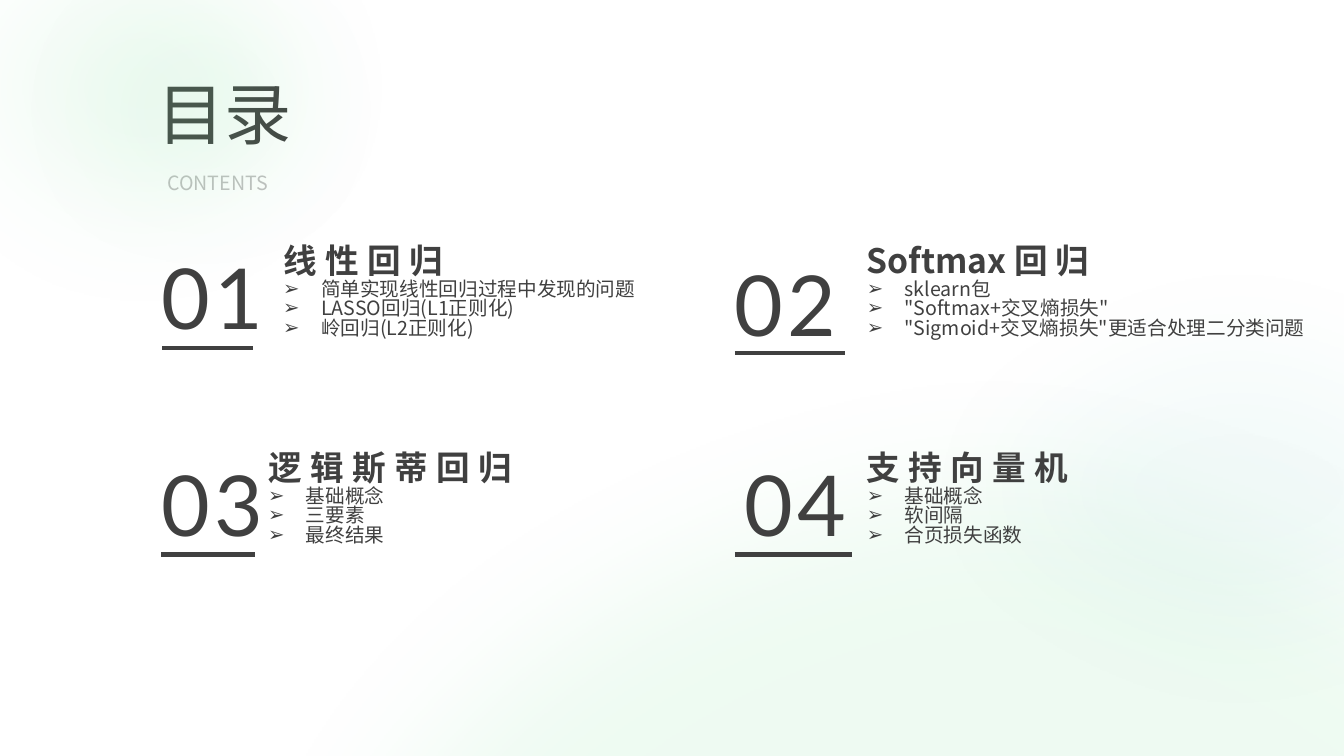
from dataclasses import dataclass

from lxml import etree
from pptx import Presentation
from pptx.dml.color import RGBColor
from pptx.enum import shapes, text
from pptx.oxml import ns
from pptx.util import Pt

DARK = RGBColor(0x40, 0x40, 0x40)
GREY = RGBColor(0xC0, 0xC0, 0xC0)
GREEN = RGBColor(0x7B, 0xDF, 0x9B)
TEAL = RGBColor(0x25, 0xAE, 0x9E)
CJK, LATIN = "Noto Sans CJK SC", "Lato"
LIST_INDENT = Pt(27)
LIST_SPACING = 0.83


@dataclass
class Glow:
    left: float
    top: float
    width: float
    height: float
    color: RGBColor
    opacity: int


@dataclass
class Chapter:
    number: str
    number_at: tuple[float, float]
    rule: tuple[float, float, float]  # left, right, y
    list_box: tuple[float, float, float, float]
    heading: str
    topics: list[str]
    spacing: float = 6


GLOWS = [
    Glow(-139, -144, 483, 414, GREEN, 13),
    Glow(143.3, 239.8, 1135.4, 762.5, GREEN, 13),
    Glow(-63.4, -90, 414, 337, GREEN, 13),
    Glow(575.3, 141.1, 619.2, 415.4, TEAL, 6),
]

CHAPTERS = [
    Chapter("01", (115.2, 175.7), (115.9, 180.7, 248.4), (202.3, 176.5, 258.5, 81.4),
            "线性回归", ["简单实现线性回归过程中发现的问题", "LASSO回归(L1正则化)", "岭回归(L2正则化)"]),
    Chapter("02", (524.9, 180), (524.9, 603.4, 252), (619.2, 176.5, 335.5, 87.8),
            "Softmax 回 归",
            ["sklearn包", '"Softmax+交叉熵损失"', '"Sigmoid+交叉熵损失"更适合处理二分类问题'], 0),
    Chapter("03", (115.2, 323.3), (115.2, 182.2, 396), (191.5, 324.3, 192.2, 81.4),
            "逻辑斯蒂回归", ["基础概念", "三要素", "最终结果"]),
    Chapter("04", (532.1, 323.3), (524.9, 608.4, 396), (619.2, 324.3, 217.4, 87.8),
            "支持向量机", ["基础概念", "软间隔", "合页损失函数"]),
]


def write(paragraph, wording: str, *, size: float, font: str = CJK, color: RGBColor = DARK,
          bold: bool = False, tracking: float = 0, outlined: bool = False,
          align=text.PP_ALIGN.LEFT, line_spacing: float = 1.0) -> None:
    paragraph.alignment = align
    paragraph.line_spacing = line_spacing
    paragraph.space_before = Pt(0)
    run = paragraph.add_run()
    run.text = wording
    run.font.size, run.font.bold, run.font.name = Pt(size), bold, font
    run.font.color.rgb = color
    properties = run.font._element
    properties.set("spc", str(round(tracking * 100)))
    etree.SubElement(properties, ns.qn("a:ea")).set("typeface", font)
    if outlined:
        outline = etree.Element(ns.qn("a:ln"), w=str(Pt(0.75)))
        fill = etree.SubElement(outline, ns.qn("a:solidFill"))
        etree.SubElement(fill, ns.qn("a:srgbClr")).set("val", str(color))
        properties.insert(0, outline)


def set_bullet(paragraph, symbol: str = "") -> None:
    properties = paragraph._p.get_or_add_pPr()
    indent = LIST_INDENT if symbol else 0
    properties.set("marL", str(indent))
    properties.set("indent", str(-indent))
    if symbol:
        etree.SubElement(properties, ns.qn("a:buChar")).set("char", symbol)
    else:
        etree.SubElement(properties, ns.qn("a:buNone"))


def prepare_frame(shape):
    frame = shape.text_frame
    frame.margin_left = frame.margin_top = frame.margin_right = frame.margin_bottom = 0
    frame.word_wrap = True
    frame.auto_size = text.MSO_AUTO_SIZE.NONE
    frame.vertical_anchor = text.MSO_ANCHOR.TOP
    return frame


def place(shape, left: float, top: float, width: float, height: float) -> None:
    shape.left, shape.top, shape.width, shape.height = map(Pt, (left, top, width, height))


def add_text_box(slide, left: float, top: float, width: float, height: float):
    return slide.shapes.add_textbox(*map(Pt, (left, top, width, height)))


def draw_glow(slide, glow: Glow):
    ellipse = slide.shapes.add_shape(
        shapes.MSO_SHAPE.OVAL, *map(Pt, (glow.left, glow.top, glow.width, glow.height)))
    ellipse.shadow.inherit = False
    ellipse.line.fill.background()
    ellipse.fill.solid()
    ellipse.fill.fore_color.rgb = glow.color
    properties = ellipse._element.spPr
    color = properties.find(f".//{ns.qn('a:srgbClr')}")
    etree.SubElement(color, ns.qn("a:alpha")).set("val", str(glow.opacity * 1000))
    effects = properties.find(ns.qn("a:effectLst"))
    etree.SubElement(effects, ns.qn("a:softEdge")).set("rad", str(Pt(100)))
    return ellipse


def draw_chapter(slide, chapter: Chapter, topic_list) -> None:
    number = prepare_frame(add_text_box(slide, *chapter.number_at, 87, 72.7))
    write(number.paragraphs[0], chapter.number, size=60, font=LATIN, tracking=3, outlined=True)

    left, right, y = chapter.rule
    rule = slide.shapes.add_connector(
        shapes.MSO_CONNECTOR.STRAIGHT, Pt(left), Pt(y), Pt(right), Pt(y))
    rule.line.color.rgb = DARK
    rule.line.width = Pt(3)
    etree.SubElement(rule._element.spPr, ns.qn("a:effectLst"))

    place(topic_list, *chapter.list_box)
    frame = prepare_frame(topic_list)
    heading = frame.paragraphs[0]
    set_bullet(heading)
    write(heading, chapter.heading, size=24, bold=True, tracking=chapter.spacing,
          line_spacing=LIST_SPACING)
    for topic in chapter.topics:
        item = frame.add_paragraph()
        set_bullet(item, "➢")
        write(item, topic, size=14, line_spacing=LIST_SPACING)


def main() -> None:
    deck = Presentation()
    deck.slide_width, deck.slide_height = Pt(960), Pt(540)
    # The comparison layout offers a title and four body placeholders
    slide = deck.slides.add_slide(deck.slide_layouts[4])

    # Title and subtitle
    title = slide.shapes.title
    place(title, 112.3, 58.3, 156.2, 58.3)
    write(prepare_frame(title).paragraphs[0], "目录", size=48,
          align=text.PP_ALIGN.JUSTIFY, line_spacing=0.9)
    subtitle = add_text_box(slide, 119.5, 123.8, 149, 17.3)
    write(prepare_frame(subtitle).paragraphs[0], "CONTENTS", size=14, color=GREY,
          align=text.PP_ALIGN.JUSTIFY, line_spacing=0.9)

    # Soft background glows, stacked above the title but below the chapters
    glows = [draw_glow(slide, glow) for glow in GLOWS]
    for position, backdrop in enumerate([title, subtitle, *glows], start=2):
        slide.shapes._spTree.insert(position, backdrop._element)

    # Chapters
    topic_lists = [p for p in slide.placeholders if p.placeholder_format.idx > 0]
    for chapter, topic_list in zip(CHAPTERS, topic_lists):
        draw_chapter(slide, chapter, topic_list)

    deck.save("out.pptx")


if __name__ == "__main__":
    main()
